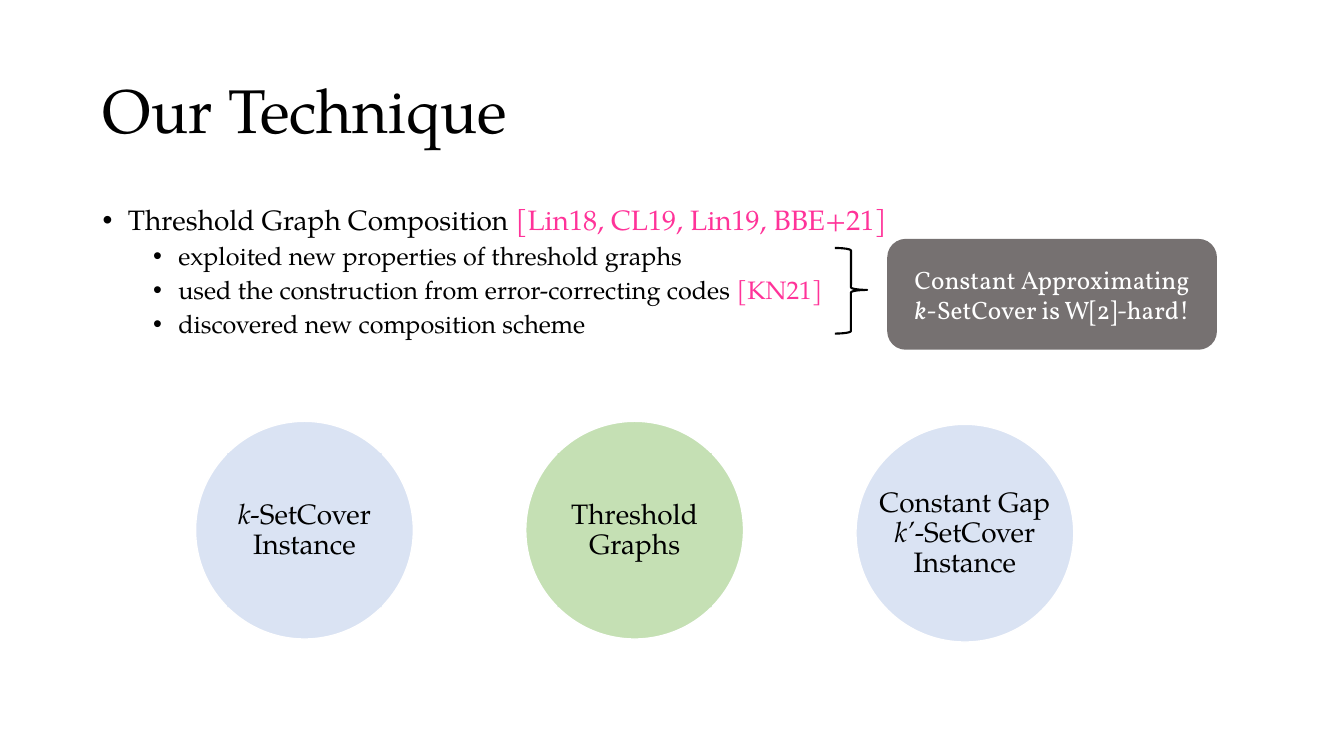
from dataclasses import dataclass

import lxml.etree
import pptx
import pptx.dml.color
import pptx.enum.shapes
import pptx.enum.text
import pptx.oxml.ns
import pptx.shapes.autoshape
import pptx.text.text
import pptx.util

Inches = pptx.util.Inches
Shapes = pptx.enum.shapes.MSO_SHAPE
Align = pptx.enum.text.PP_ALIGN
Anchor = pptx.enum.text.MSO_ANCHOR


@dataclass(frozen=True)
class Theme:
    text_font: str = "TeX Gyre Pagella"
    result_font: str = "Vollkorn"
    black: str = "000000"
    white: str = "FFFFFF"
    citation: str = "FF3399"
    result_fill: str = "767171"
    instance_fill: str = "DAE3F3"
    graph_fill: str = "C5E0B4"
    title_size: int = 44
    main_size: int = 20
    detail_size: int = 18


THEME = Theme()


@dataclass(frozen=True)
class Piece:
    text: str
    color: str = THEME.black
    italic: bool = False


@dataclass(frozen=True)
class Bullet:
    pieces: list[Piece]
    size: int = THEME.detail_size
    indent: float = 0.75
    space_before: int = 5


@dataclass(frozen=True)
class Circle:
    top: float
    fill: str
    pieces: list[Piece]
    label_width: float = 1.53
    label_height: float = 1.53


BULLETS = [
    Bullet([Piece("Threshold Graph Composition "),
            Piece("[Lin18, CL19, Lin19, BBE+21]", THEME.citation)],
           THEME.main_size, 0.25, 0),
    Bullet([Piece("exploited new properties of threshold graphs")]),
    Bullet([Piece("used the construction from error-correcting codes "),
            Piece("[KN21]", THEME.citation)]),
    Bullet([Piece("discovered new composition scheme")]),
]
RESULT = [
    Piece("Constant Approximating ", THEME.white),
    Piece("k", THEME.white, True),
    Piece("-SetCover is W[2]-hard!", THEME.white),
]
CIRCLES = [
    Circle(4.18, THEME.instance_fill,
           [Piece("k", italic=True), Piece("-SetCover Instance")]),
    Circle(4.18, THEME.graph_fill, [Piece("Threshold Graphs")]),
    Circle(4.21, THEME.instance_fill,
           [Piece("Constant Gap "), Piece("k’", italic=True), Piece("-SetCover Instance")],
           1.85, 0.96),
]
CIRCLE_LEFT, CIRCLE_STEP, CIRCLE_SIZE = 1.94, 3.275, 2.16
BULLET_HANG = 0.25


def rgb(color: str) -> pptx.dml.color.RGBColor:
    return pptx.dml.color.RGBColor.from_string(color)


def add_runs(paragraph: pptx.text.text._Paragraph, pieces: list[Piece], size: int,
             font: str = THEME.text_font) -> None:
    for piece in pieces:
        run = paragraph.add_run()
        run.text = piece.text
        run.font.name = font
        run.font.size = pptx.util.Pt(size)
        run.font.italic = piece.italic
        run.font.color.rgb = rgb(piece.color)


def add_plain_shape(shapes, kind: pptx.enum.shapes.MSO_SHAPE, left: float, top: float,
                    width: float, height: float, fill: str | None = None,
                    line: str | None = None,
                    line_width: float = 1) -> pptx.shapes.autoshape.Shape:
    shape = shapes.add_shape(kind, Inches(left), Inches(top), Inches(width), Inches(height))
    shape.shadow.inherit = False
    if fill:
        shape.fill.solid()
        shape.fill.fore_color.rgb = rgb(fill)
    else:
        shape.fill.background()
    if line:
        shape.line.color.rgb = rgb(line)
        shape.line.width = pptx.util.Pt(line_width)
    else:
        shape.line.fill.background()
    return shape


def add_title(slide) -> None:
    title = slide.shapes.title
    title.left, title.top = Inches(0.92), Inches(0.4)
    title.width, title.height = Inches(11.5), Inches(1.45)
    frame = title.text_frame
    frame.auto_size = pptx.enum.text.MSO_AUTO_SIZE.NONE
    frame.vertical_anchor = Anchor.MIDDLE
    paragraph = frame.paragraphs[0]
    paragraph.alignment = Align.LEFT
    paragraph.line_spacing = 0.9
    add_runs(paragraph, [Piece("Our Technique")], THEME.title_size)


def add_bullets(slide) -> None:
    box = slide.shapes.add_textbox(Inches(0.92), Inches(2), Inches(11.5), Inches(4.76))
    frame = box.text_frame
    frame.word_wrap = True
    for index, bullet in enumerate(BULLETS):
        paragraph = frame.add_paragraph() if index else frame.paragraphs[0]
        properties = paragraph._p.get_or_add_pPr()
        properties.set("marL", str(Inches(bullet.indent)))
        properties.set("indent", str(-Inches(BULLET_HANG)))
        qn = pptx.oxml.ns.qn
        lxml.etree.SubElement(properties, qn("a:buFont"), typeface="Arial")
        lxml.etree.SubElement(properties, qn("a:buChar"), char="•")
        paragraph.level = int(index > 0)
        paragraph.line_spacing = 0.9
        paragraph.space_before = pptx.util.Pt(bullet.space_before)
        add_runs(paragraph, bullet.pieces, bullet.size)


def add_result(slide) -> None:
    """Brace the three new ideas and state what they give."""
    brace = add_plain_shape(slide.shapes, Shapes.RIGHT_BRACE, 8.28, 2.46, 0.32, 0.85,
                            line=THEME.black, line_width=1.5)
    brace.adjustments[0], brace.adjustments[1] = 0.08, 0.49
    result = add_plain_shape(slide.shapes, Shapes.ROUNDED_RECTANGLE, 8.8, 2.37, 3.27, 1.1,
                             THEME.result_fill)
    frame = result.text_frame
    frame.word_wrap = True
    frame.vertical_anchor = Anchor.MIDDLE
    frame.paragraphs[0].alignment = Align.CENTER
    add_runs(frame.paragraphs[0], RESULT, THEME.detail_size, THEME.result_font)


def add_circle(slide, circle: Circle, left: float) -> None:
    group = slide.shapes.add_group_shape()
    add_plain_shape(group.shapes, Shapes.OVAL, left, circle.top, CIRCLE_SIZE, CIRCLE_SIZE,
                    circle.fill, THEME.white)
    label = add_plain_shape(group.shapes, Shapes.RECTANGLE,
                            left + (CIRCLE_SIZE - circle.label_width) / 2,
                            circle.top + (CIRCLE_SIZE - circle.label_height) / 2,
                            circle.label_width, circle.label_height, circle.fill)
    frame = label.text_frame
    frame.word_wrap = True
    frame.vertical_anchor = Anchor.MIDDLE
    frame.margin_left = frame.margin_right = Inches(0.03)
    frame.margin_top = frame.margin_bottom = Inches(0.03)
    paragraph = frame.paragraphs[0]
    paragraph.alignment = Align.CENTER
    paragraph.line_spacing = 0.9
    add_runs(paragraph, circle.pieces, THEME.main_size)


def main() -> None:
    presentation = pptx.Presentation()
    presentation.slide_width, presentation.slide_height = Inches(13.33), Inches(7.5)
    slide = presentation.slides.add_slide(presentation.slide_layouts[5])
    add_title(slide)
    add_bullets(slide)
    add_result(slide)
    for index, circle in enumerate(CIRCLES):
        add_circle(slide, circle, CIRCLE_LEFT + index * CIRCLE_STEP)
    presentation.save("out.pptx")


if __name__ == "__main__":
    main()
